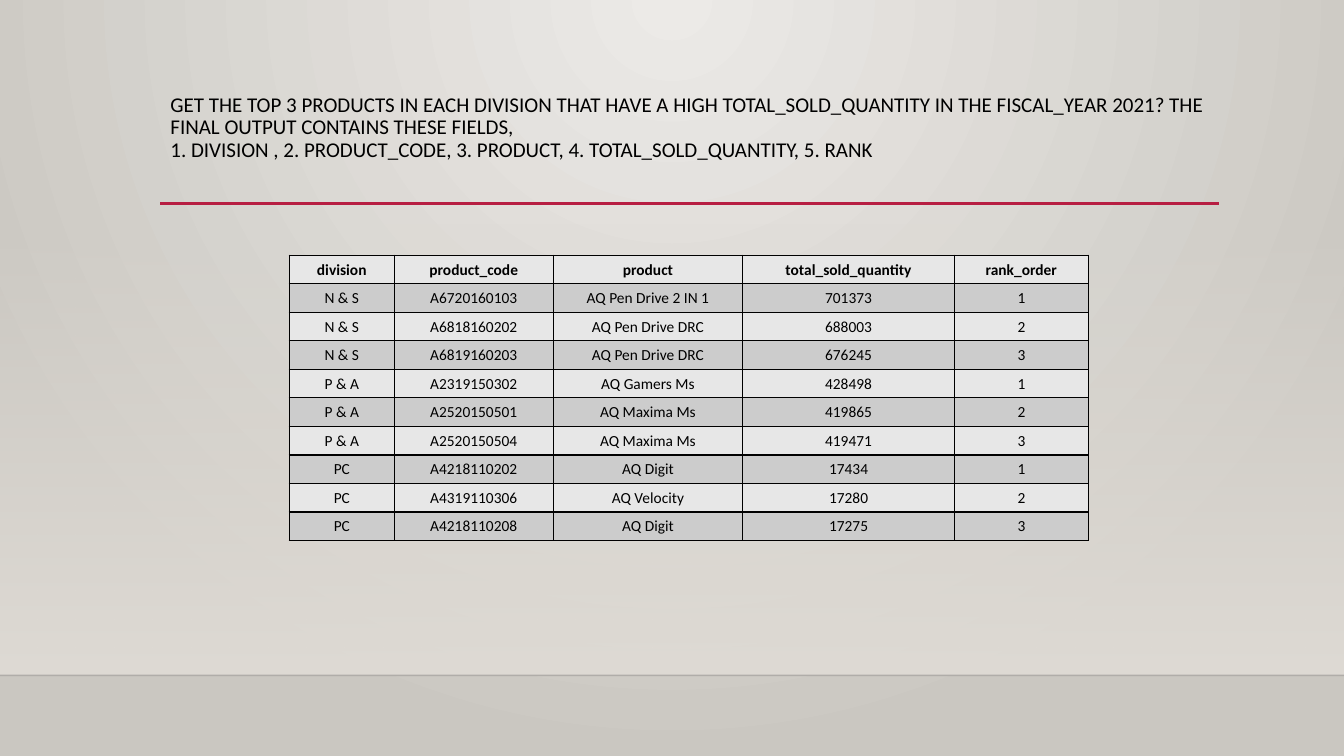
from lxml import etree
from pptx import Presentation
from pptx import util as u
from pptx.dml import color
from pptx.enum import shapes, text
from pptx.oxml import ns, parse_xml

FONT = "Calibri"
BLACK = "000000"
TITLE = [
    "GET THE TOP 3 PRODUCTS IN EACH DIVISION THAT HAVE A HIGH TOTAL_SOLD_QUANTITY "
    "IN THE FISCAL_YEAR 2021? THE FINAL OUTPUT CONTAINS THESE FIELDS,",
    "1. DIVISION , 2. PRODUCT_CODE, 3. PRODUCT, 4. TOTAL_SOLD_QUANTITY, 5. RANK",
]
COLUMN_WIDTHS = [2.65, 4, 4.78, 5.33, 3.38]
ROWS = [
    ["division", "product_code", "product", "total_sold_quantity", "rank_order"],
    ["N & S", "A6720160103", "AQ Pen Drive 2 IN 1", "701373", "1"],
    ["N & S", "A6818160202", "AQ Pen Drive DRC", "688003", "2"],
    ["N & S", "A6819160203", "AQ Pen Drive DRC", "676245", "3"],
    ["P & A", "A2319150302", "AQ Gamers Ms", "428498", "1"],
    ["P & A", "A2520150501", "AQ Maxima Ms", "419865", "2"],
    ["P & A", "A2520150504", "AQ Maxima Ms", "419471", "3"],
    ["PC", "A4218110202", "AQ Digit", "17434", "1"],
    ["PC", "A4319110306", "AQ Velocity", "17280", "2"],
    ["PC", "A4218110208", "AQ Digit", "17275", "3"],
]


def rgb(value):
    """Return the colour for a hex string."""
    return color.RGBColor.from_string(value)


def format_runs(p, size, bold=False):
    """Set the font of every run in a paragraph."""
    for r in p.runs:
        r.font.name = FONT
        r.font.size = u.Pt(size)
        r.font.bold = bold
        r.font.color.rgb = rgb(BLACK)


def set_alpha(clr, percent):
    """Set the opacity of a colour element."""
    etree.SubElement(clr, ns.qn("a:alpha")).set("val", str(percent * 1000))


def fill_gradient(owner, fill, stops, shade):
    """Fill a shape or background with (position, colour, opacity) stops."""
    fill.solid()
    grad = parse_xml(f'<a:gradFill {ns.nsdecls("a")} rotWithShape="1"><a:gsLst/>{shade}</a:gradFill>')
    for pos, value, opacity in stops:
        gs = etree.SubElement(grad[0], ns.qn("a:gs"), pos=str(pos * 1000))
        set_alpha(etree.SubElement(gs, ns.qn("a:srgbClr"), val=value), opacity)
    solid = next(owner.iter(ns.qn("a:solidFill")))
    solid.getparent().replace(solid, grad)


def add_line(s, left, right, y, value, width, opacity=100):
    """Draw a horizontal line."""
    ln = s.shapes.add_connector(shapes.MSO_CONNECTOR.STRAIGHT, u.Cm(left), u.Cm(y), u.Cm(right), u.Cm(y))
    ln.line.color.rgb = rgb(value)
    ln.line.width = u.Pt(width)
    set_alpha(next(ln.element.iter(ns.qn("a:srgbClr"))), opacity)
    etree.SubElement(ln.element.spPr, ns.qn("a:effectLst"))


def add_backdrop(s):
    """Paint the background and the panel that fades down to the floor."""
    circle = '<a:path path="circle"><a:fillToRect l="43000" r="43000" b="100000"/></a:path>'
    fill_gradient(s.element, s.background.fill, [(0, "ECEAE7", 100), (100, "CAC7C1", 100)], circle)
    sp = s.shapes.add_shape(shapes.MSO_SHAPE.RECTANGLE, 0, u.Cm(5.61), u.Cm(33.87), u.Cm(11.41))
    sp.shadow.inherit = False
    sp.line.fill.background()
    fill_gradient(sp.element, sp.fill, [(0, "DFDBD5", 0), (100, "DFDBD5", 100)],
                  '<a:lin ang="5400000" scaled="0"/>')


def set_title(s):
    """Place and format the title."""
    sp = s.shapes.title
    sp.left, sp.top, sp.width, sp.height = u.Cm(4.04), u.Cm(2.24), u.Cm(26.67), u.Cm(2.92)
    tf = sp.text_frame
    tf.text = "\n".join(TITLE)
    tf.word_wrap = True
    tf.auto_size = text.MSO_AUTO_SIZE.NONE
    tf.vertical_anchor = text.MSO_ANCHOR.TOP
    for p in tf.paragraphs:
        p.alignment = text.PP_ALIGN.LEFT
        p.line_spacing = 0.9
        format_runs(p, 15)


def add_borders(cell):
    """Give a cell a thin black border on each side."""
    tcPr = cell._tc.get_or_add_tcPr()
    for i, side in enumerate(["lnL", "lnR", "lnT", "lnB"]):
        tcPr.insert(i, parse_xml(
            f'<a:{side} {ns.nsdecls("a")} w="12700"><a:solidFill><a:srgbClr val="{BLACK}"/>'
            f'</a:solidFill></a:{side}>'))


def format_cell(cell, value, fill, bold):
    """Write and format one table cell."""
    cell.text_frame.text = value
    cell.vertical_anchor = text.MSO_ANCHOR.MIDDLE
    cell.margin_left = cell.margin_right = cell.margin_top = u.Cm(0.02)
    cell.margin_bottom = 0
    cell.fill.solid()
    cell.fill.fore_color.rgb = rgb(fill)
    p = cell.text_frame.paragraphs[0]
    p.alignment = text.PP_ALIGN.CENTER
    format_runs(p, 11, bold)
    add_borders(cell)


def add_ranking(s):
    """Add the table of top products."""
    table = s.shapes.add_table(len(ROWS), len(COLUMN_WIDTHS), u.Cm(7.29), u.Cm(6.43),
                               u.Cm(sum(COLUMN_WIDTHS)), u.Cm(0.72 * len(ROWS))).table
    for column, width in zip(table.columns, COLUMN_WIDTHS):
        column.width = u.Cm(width)
    for i, row in enumerate(ROWS):
        for j, value in enumerate(row):
            format_cell(table.cell(i, j), value, "CCCCCC" if i % 2 else "E7E7E7", i == 0)


def main():
    """Build and save the slide."""
    prs = Presentation()
    prs.slide_width, prs.slide_height = u.Cm(33.87), u.Cm(19.05)
    s = prs.slides.add_slide(prs.slide_layouts[5])
    add_backdrop(s)
    add_line(s, 0, 33.87, 17.02, "000001", 1, 20)
    add_line(s, 4.04, 30.73, 5.13, "B71E42", 2.5)
    set_title(s)
    add_ranking(s)
    prs.save("out.pptx")


if __name__ == "__main__":
    main()
